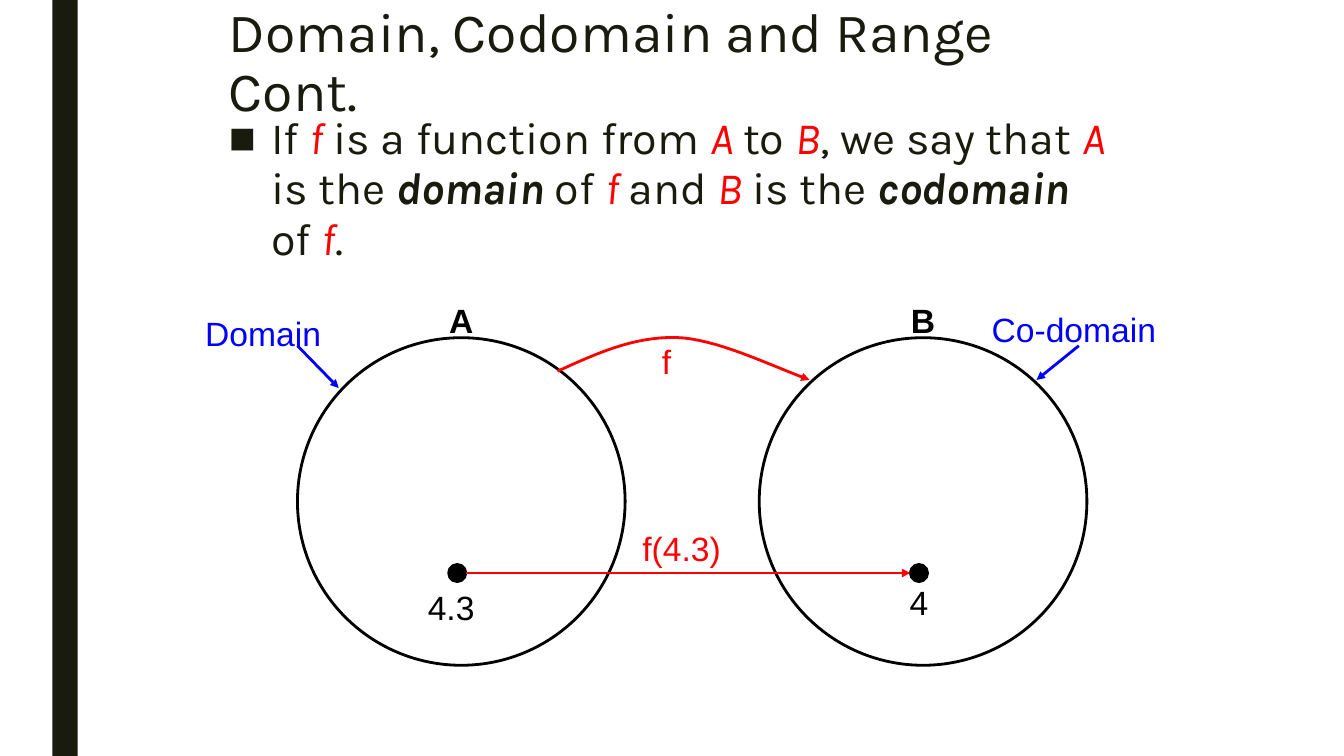
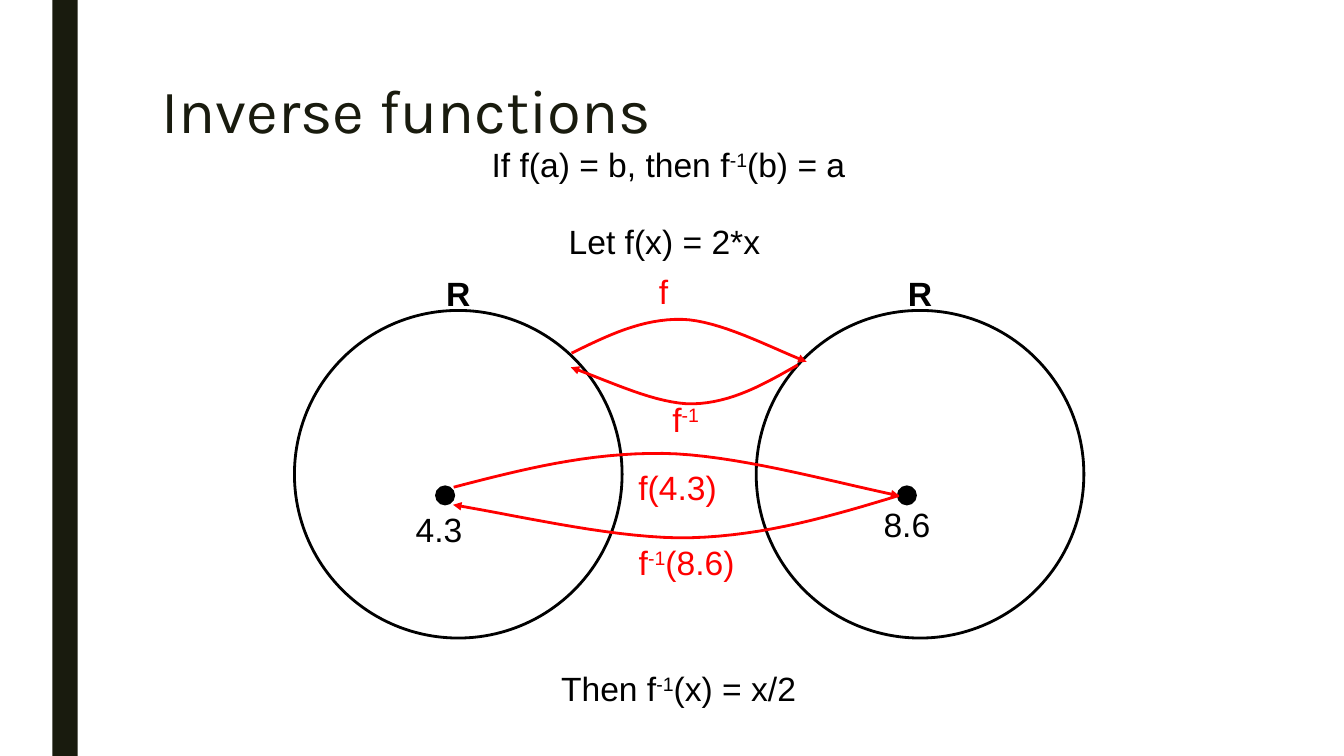
from lxml import etree
from pptx import Presentation
from pptx.dml import color
from pptx.enum import shapes, text
from pptx.oxml import ns
from pptx.util import Inches, Pt

INK, BLACK, RED, BLUE = "191B0E", "000000", "FF0000", "0000FF"
HEADING_FONT, LABEL_FONT = "Karla", "Arial"
CIRCLE, CIRCLE_STEP, DOT = 3.25, 4.58, 0.17
ARC_HEIGHT = 0.43
# Two cubic curves, as fractions of the arc's width and height.
ARC = [(0, 0.8), (0.15, 0.4), (0.3, 0), (0.47, 0.02),
       (0.63, 0.05), (0.83, 0.63), (1, 1)]


def rgb(value):
    return color.RGBColor.from_string(value)


def style_font(font, name, size, hue, bold=None):
    font.name, font.size, font.bold = name, Pt(size), bold
    font.color.rgb = rgb(hue)


def style_line(line, hue, arrow=False):
    line.color.rgb, line.width = rgb(hue), Pt(2)
    if arrow:
        tail = etree.SubElement(line._get_or_add_ln(), ns.qn("a:tailEnd"))
        tail.set("type", "triangle")


def place(placeholder, left, top, width, height):
    placeholder.left, placeholder.top = Inches(left), Inches(top)
    placeholder.width, placeholder.height = Inches(width), Inches(height)
    frame = placeholder.text_frame
    frame.auto_size = text.MSO_AUTO_SIZE.NONE
    frame.vertical_anchor = text.MSO_ANCHOR.TOP
    return frame


def add_title(slide, wording, box, size):
    frame = place(slide.shapes.title, *box)
    frame.text = wording
    heading = frame.paragraphs[0]
    heading.alignment, heading.line_spacing = text.PP_ALIGN.LEFT, 0.89
    style_font(heading.font, HEADING_FONT, size, INK)


def add_statement(slide, pieces, box):
    """Fill the body with one bullet; each piece is (words, style)."""
    statement = place(slide.placeholders[1], *box).paragraphs[0]
    props = statement._p.get_or_add_pPr()
    props.set("marL", str(Inches(0.42)))
    props.set("indent", str(-Inches(0.42)))
    etree.SubElement(props, ns.qn("a:buFont")).set("typeface", LABEL_FONT)
    etree.SubElement(props, ns.qn("a:buChar")).set("char", "■")
    statement.line_spacing = 0.94
    statement.space_before, statement.space_after = Pt(0), Pt(2)
    style_font(statement.font, HEADING_FONT, 32, INK)
    for words, style in pieces:
        run = statement.add_run()
        run.text = words
        if style:
            run.font.italic = True
        if style == "symbol":
            run.font.color.rgb = rgb(RED)
        elif style == "term":
            run.font.bold = True


def add_label(slide, wording, center, top, width, hue=BLACK, bold=None):
    """Centre a label on x; text between bars is raised, as in f|-1|(x)."""
    box = slide.shapes.add_textbox(Inches(center - width / 2), Inches(top),
                                   Inches(width), Inches(0.5))
    frame = box.text_frame
    frame.word_wrap = False
    frame.auto_size = text.MSO_AUTO_SIZE.SHAPE_TO_FIT_TEXT
    label = frame.paragraphs[0]
    label.alignment = text.PP_ALIGN.CENTER
    style_font(label.font, LABEL_FONT, 24, hue, bold)
    for index, part in enumerate(wording.split("|")):
        run = label.add_run()
        run.text = part
        if index % 2:
            run._r.get_or_add_rPr().set("baseline", "30000")


def add_circle(slide, left, top, size, fill=None):
    circle = slide.shapes.add_shape(shapes.MSO_SHAPE.OVAL, Inches(left),
                                    Inches(top), Inches(size), Inches(size))
    circle.shadow.inherit = False
    if fill:
        circle.fill.solid()
        circle.fill.fore_color.rgb = rgb(fill)
    else:
        circle.fill.background()
    style_line(circle.line, BLACK)


def add_arrow(slide, start, end, hue):
    arrow = slide.shapes.add_connector(shapes.MSO_CONNECTOR.STRAIGHT,
                                       *map(Inches, (*start, *end)))
    style_line(arrow.line, hue, arrow=True)
    etree.SubElement(arrow._element.spPr, ns.qn("a:effectLst"))


def curve_points(controls, steps=16):
    points = [controls[0]]
    for first in range(0, len(controls) - 1, 3):
        bend = controls[first:first + 4]
        for step in range(1, steps + 1):
            t = step / steps
            weights = ((1 - t) ** 3, 3 * t * (1 - t) ** 2,
                       3 * t ** 2 * (1 - t), t ** 3)
            points.append(tuple(sum(w * p[axis] for w, p in zip(weights, bend))
                                for axis in (0, 1)))
    return points


def add_arc(slide, left, top, width, rotation=0):
    points = [(Inches(left + x * width), Inches(top + y * ARC_HEIGHT))
              for x, y in curve_points(ARC)]
    builder = slide.shapes.build_freeform(*points[0])
    builder.add_line_segments(points[1:], close=False)
    arc = builder.convert_to_shape()
    arc.rotation = rotation
    arc.shadow.inherit = False
    arc.fill.background()
    style_line(arc.line, RED, arrow=True)


def add_mapping(slide, left, top, sets, elements, dot_at):
    """Draw two sets as circles, each with a name and one labelled element."""
    dot_x, dot_y = dot_at
    label_offsets = ((-0.06, 0.17), (0, 0.12))
    for index, (name, element) in enumerate(zip(sets, elements)):
        x = left + index * CIRCLE_STEP
        shift, drop = label_offsets[index]
        add_circle(slide, x, top, CIRCLE)
        add_label(slide, name, x + CIRCLE / 2, top - 0.42, 0.44, bold=True)
        add_circle(slide, x + dot_x, top + dot_y, DOT, BLACK)
        add_label(slide, element, x + dot_x + DOT / 2 + shift,
                  top + dot_y + drop, 0.67 if "." in element else 0.39)


def add_band(prs, slide):
    """Put the dark side band on the master, behind everything else."""
    band = slide.shapes.add_shape(shapes.MSO_SHAPE.RECTANGLE, Inches(0.52), 0,
                                  Inches(0.25), prs.slide_height)
    band.shadow.inherit = False
    band.fill.solid()
    band.fill.fore_color.rgb = rgb(INK)
    band.line.fill.background()
    prs.slide_master.shapes.element.insert(2, band.element)


def domain_slide(slide):
    add_title(slide, "Domain, Codomain and Range Cont.",
              (2.17, 0, 9, 1.25), 39.6)
    add_statement(slide, [
        ("If ", None), ("f ", "symbol"), ("is a function from ", None),
        ("A ", "symbol"), ("to ", None), ("B", "symbol"),
        (", we say that ", None), ("A ", "symbol"), ("is the ", None),
        ("domain ", "term"), ("of ", None), ("f ", "symbol"), ("and ", None),
        ("B ", "symbol"), ("is the ", None), ("codomain ", "term"),
        ("of ", None), ("f", "symbol"), (".", None),
    ], (2.17, 1.08, 9, 1.42))

    left, top, dot_x, dot_y = 2.95, 3.35, 1.5, 2.25
    add_mapping(slide, left, top, "AB", ("4.3", "4"), (dot_x, dot_y))
    add_arc(slide, left + 2.58, top - 0.01, 2.5)
    add_label(slide, "f", left + 3.66, top - 0.02, 0.29, RED)
    arrow_y = top + dot_y + DOT / 2
    add_arrow(slide, (left + dot_x + DOT, arrow_y),
              (left + dot_x + CIRCLE_STEP, arrow_y), RED)
    add_label(slide, "f(4.3)", left + 3.81, top + 1.84, 0.98, RED)
    add_arrow(slide, (left, top + 0.08), (left + 0.41, top + 0.5), BLUE)
    add_label(slide, "Domain", left - 0.34, top - 0.29, 1.36, BLUE)
    add_arrow(slide, (left + 7.75, top + 0.08), (left + 7.33, top + 0.42), BLUE)
    add_label(slide, "Co-domain", left + 7.7, top - 0.33, 1.85, BLUE)


def inverse_slide(slide):
    add_title(slide, "Inverse functions", (1.5, 0.75, 10.5, 1.62), 44)
    add_label(slide, "If f(a) = b, then f|-1|(b) = a", 6.63, 1.38, 4.33)
    add_label(slide, "Let f(x) = 2*x", 6.59, 2.14, 2.2)

    left, top = 2.92, 3.08
    add_mapping(slide, left, top, "RR", ("4.3", "8.6"), (1.41, 1.75))
    for x, y, width, rotation in ((2.75, 0.08, 2.33, 0),
                                  (2.75, 0.5, 2.25, 177.2),
                                  (1.58, 1.41, 4.42, 0),
                                  (1.58, 1.83, 4.42, 177.7)):
        add_arc(slide, left + x, top + y, width, rotation)
    for wording, x, y, width in (("f", 3.66, -0.44, 0.29),
                                 ("f|-1", 3.88, 0.83, 0.49),
                                 ("f(4.3)", 3.8, 1.5, 0.99),
                                 ("f|-1|(8.6)", 3.89, 2.25, 1.19)):
        add_label(slide, wording, left + x, top + y, width, RED)
    add_label(slide, "Then f|-1|(x) = x/2", 6.73, 6.58, 2.58)


def main():
    prs = Presentation()
    prs.slide_width, prs.slide_height = Inches(13.33), Inches(7.5)
    title_and_body, title_only = prs.slide_layouts[1], prs.slide_layouts[5]
    domain = prs.slides.add_slide(title_and_body)
    add_band(prs, domain)
    domain_slide(domain)
    inverse_slide(prs.slides.add_slide(title_only))
    prs.save("out.pptx")


if __name__ == "__main__":
    main()
